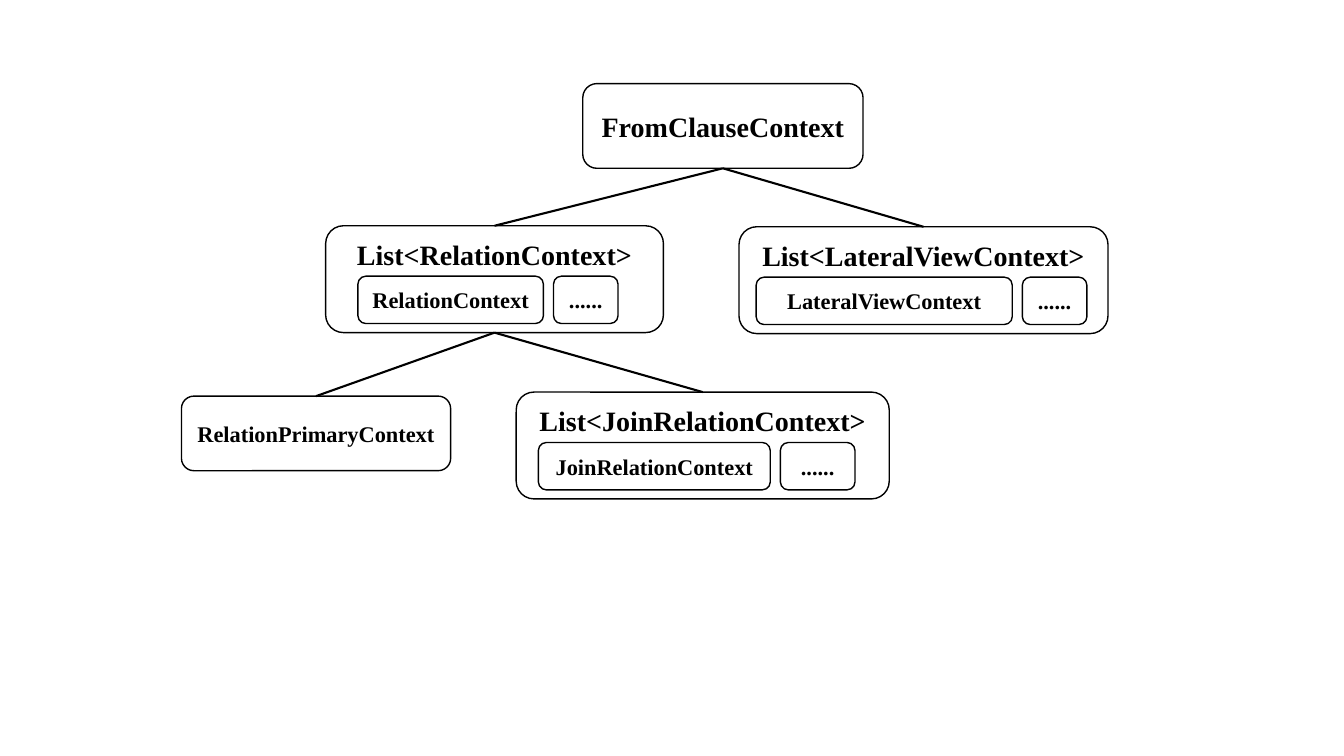
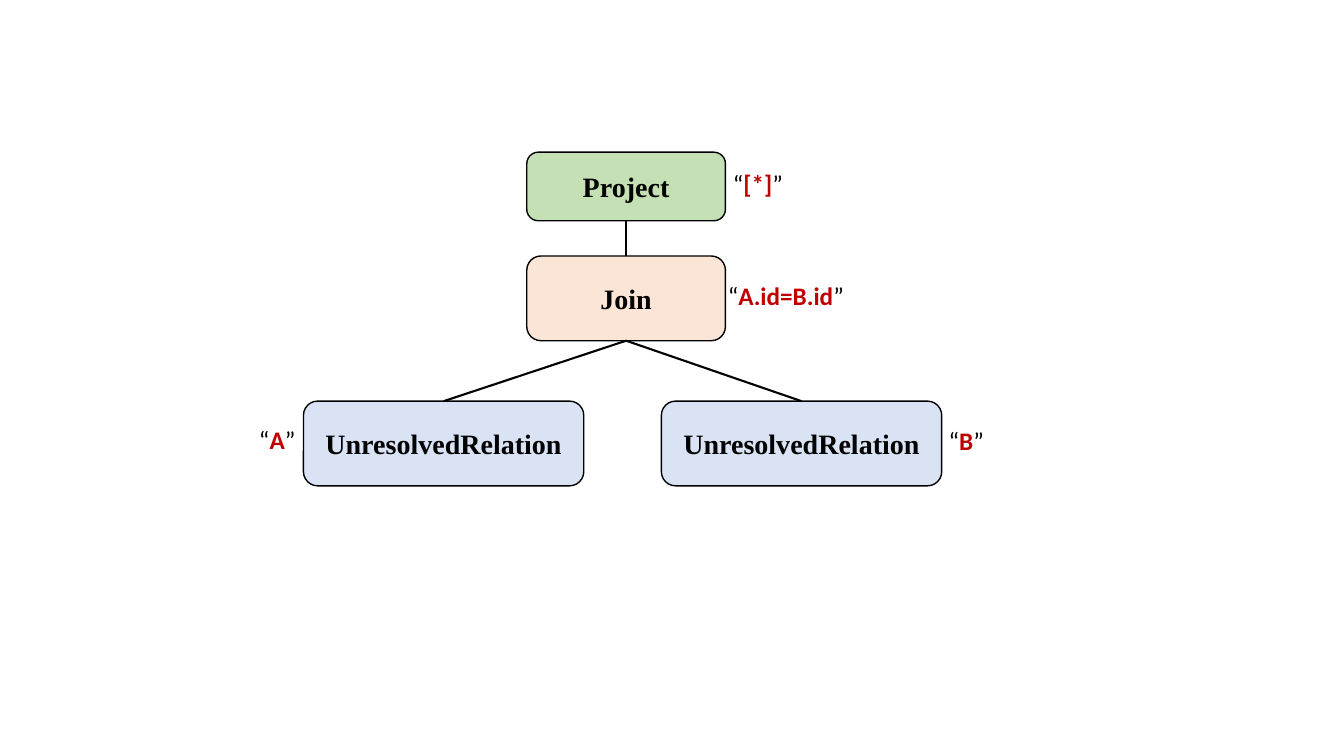
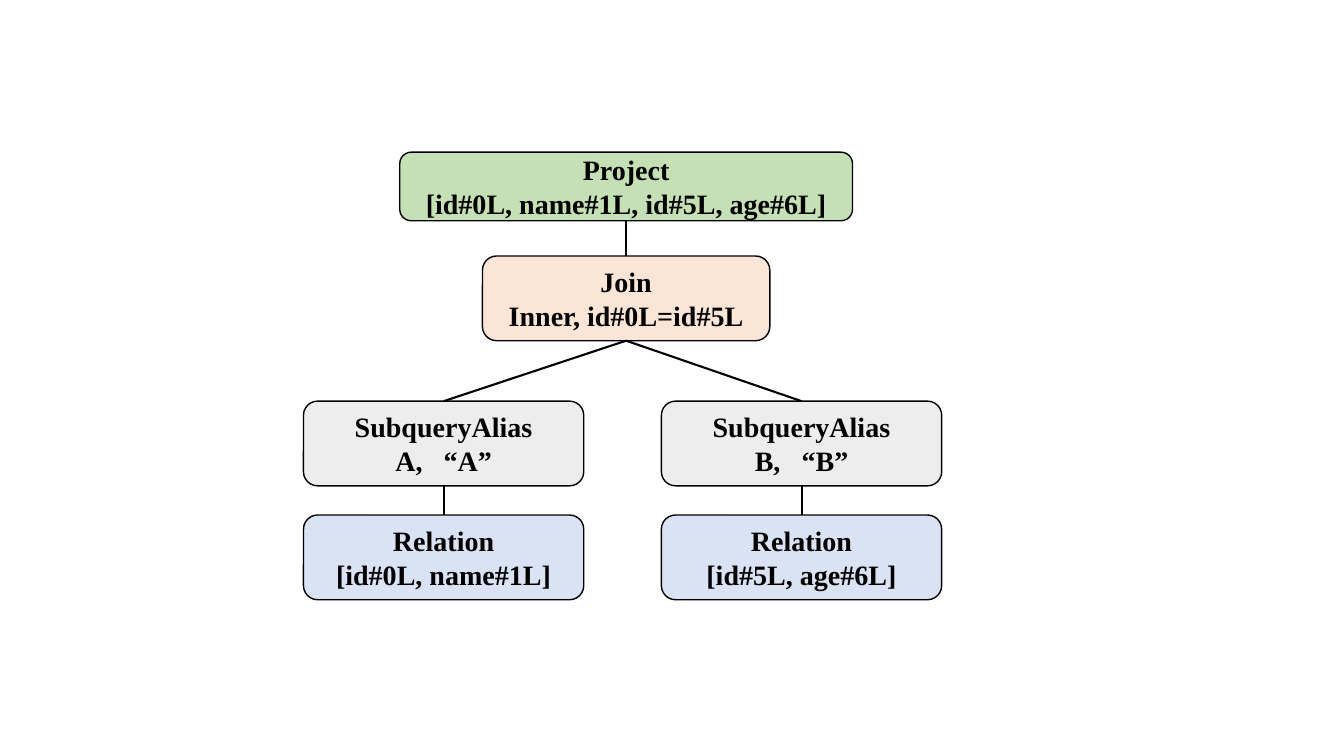
from pptx import Presentation
from pptx.dml.color import RGBColor
from pptx.enum import shapes, text
from pptx.oxml.ns import qn
from pptx.util import Inches, Pt

BLACK, WHITE, RED = "000000", "FFFFFF", "C00000"
GREEN, PEACH, GRAY, BLUE = "C5E0B4", "FBE5D6", "EDEDED", "DAE3F3"
SERIF, SANS = "Times New Roman", "Calibri"
MID = 6.21               # axis of the plan trees
SIDES = (4.4, 7.95)      # axes of their two branches
GAP = 0.1                # between the items of a list


def rgb(code):
    return RGBColor.from_string(code)


def style(target, **values):
    for name, value in values.items():
        setattr(target, name, value)


def stroke(line, width):
    line.color.rgb = rgb(BLACK)
    line.width = Pt(width)


def write(par, words, size, font, color=BLACK, bold=True):
    run = par.add_run()
    run.text = words
    style(run.font, size=Pt(size), name=font, bold=bold)
    run.font.color.rgb = rgb(color)
    return run


def box(slide, x, y, w, h, *lines, fill=WHITE, size=20):
    """Rounded box with centred bold lines; a tuple is a line of spaced parts."""
    shape = slide.shapes.add_shape(shapes.MSO_SHAPE.ROUNDED_RECTANGLE,
                                   *map(Inches, (x, y, w, h)))
    shape.shadow.inherit = False
    if fill:
        shape.fill.solid()
        shape.fill.fore_color.rgb = rgb(fill)
    else:
        shape.fill.background()
    stroke(shape.line, 1)
    frame = shape.text_frame
    style(frame, word_wrap=True, vertical_anchor=text.MSO_ANCHOR.MIDDLE,
          margin_left=Inches(0.05), margin_right=Inches(0.05))
    for i, line in enumerate(lines):
        par = frame.add_paragraph() if i else frame.paragraphs[0]
        par.alignment = text.PP_ALIGN.CENTER
        parts = line if isinstance(line, tuple) else (line,)
        for j, part in enumerate(parts):
            if j:
                space = write(par, " ", size, SERIF)
                space.font._element.set("spc", "1000")
            write(par, part, size, SERIF)
    return shape


def group(slide, x, y, w, name, inset, item, rest):
    """List box that holds a named item and a box for the others."""
    outer = box(slide, x, y, w, 1.06, f"List<{name}>", fill=None)
    style(outer.text_frame, vertical_anchor=text.MSO_ANCHOR.TOP,
          margin_top=Inches(0.06))
    left = x + inset
    for words, width in ((name, item), ("......", rest)):
        box(slide, left, y + 0.5, width, 0.47, words, size=16)
        left += width + GAP
    return outer


def link(slide, top, *below):
    """Lines from the foot of one box to the heads of others."""
    for child in below:
        line = slide.shapes.add_connector(shapes.MSO_CONNECTOR.STRAIGHT, 0, 0, 0, 0)
        line.begin_connect(top, 2)
        line.end_connect(child, 0)
        stroke(line.line, 1.5)
        props = line._element.spPr
        props.append(props.makeelement(qn("a:effectLst"), {}))


def quote(slide, x, y, w, words):
    """Red words between black quotation marks."""
    frame = slide.shapes.add_textbox(*map(Inches, (x, y, w, 0.4))).text_frame
    frame.word_wrap = True
    par = frame.paragraphs[0]
    write(par, "“", 18, SANS, bold=False)
    write(par, words, 18, SANS, RED)
    write(par, "”", 18, SANS, bold=False)


def pair(slide, y, fill, *texts):
    return [box(slide, mid - 1.39, y, 2.78, 0.84, *lines, fill=fill)
            for mid, lines in zip(SIDES, texts)]


def plan(slide, project, wide, join, width, fill, *texts):
    """Project over Join over two branches; gives back the branches."""
    root = box(slide, MID - wide / 2, 1.51, wide, 0.68, *project, fill=GREEN)
    node = box(slide, MID - width / 2, 2.54, width, 0.84, *join, fill=PEACH)
    sides = pair(slide, 3.98, fill, *texts)
    link(slide, root, node)
    link(slide, node, *sides)
    return sides


def clause(slide):
    root = box(slide, 5.78, 0.83, 2.78, 0.84, "FromClauseContext")
    rel = group(slide, 3.23, 2.24, 3.35, "RelationContext", 0.32, 1.84, 0.64)
    view = group(slide, 7.33, 2.25, 3.66, "LateralViewContext", 0.17, 2.54, 0.64)
    first = box(slide, 1.8, 3.93, 2.67, 0.74, "RelationPrimaryContext", size=16)
    join = group(slide, 5.12, 3.89, 3.7, "JoinRelationContext", 0.22, 2.3, 0.74)
    link(slide, root, rel, view)
    link(slide, rel, first, join)


def parsed(slide):
    name = ["UnresolvedRelation"]
    plan(slide, ["Project"], 1.97, ["Join"], 1.97, BLUE, name, name)
    for note in ((2.47, 4.16, 0.69, "A"), (9.31, 4.17, 1.22, "B"),
                 (7.12, 2.73, 1.43, "A.id=B.id"), (7.17, 1.62, 1.43, "[*]")):
        quote(slide, *note)


def solved(slide):
    tops = plan(slide, ["Project", "[id#0L, name#1L, id#5L, age#6L]"], 4.49,
                ["Join", "Inner, id#0L=id#5L"], 2.85, GRAY,
                *(["SubqueryAlias", (f"{key},", f"“{key}”")] for key in "AB"))
    ends = pair(slide, 5.11, BLUE, ["Relation", "[id#0L, name#1L]"],
                ["Relation", "[id#5L, age#6L]"])
    for top, end in zip(tops, ends):
        link(slide, top, end)


def main():
    deck = Presentation()
    style(deck, slide_width=Inches(13.33), slide_height=Inches(7.5))
    for draw in (clause, parsed, solved):
        draw(deck.slides.add_slide(deck.slide_layouts[6]))
    deck.save("out.pptx")


if __name__ == "__main__":
    main()
